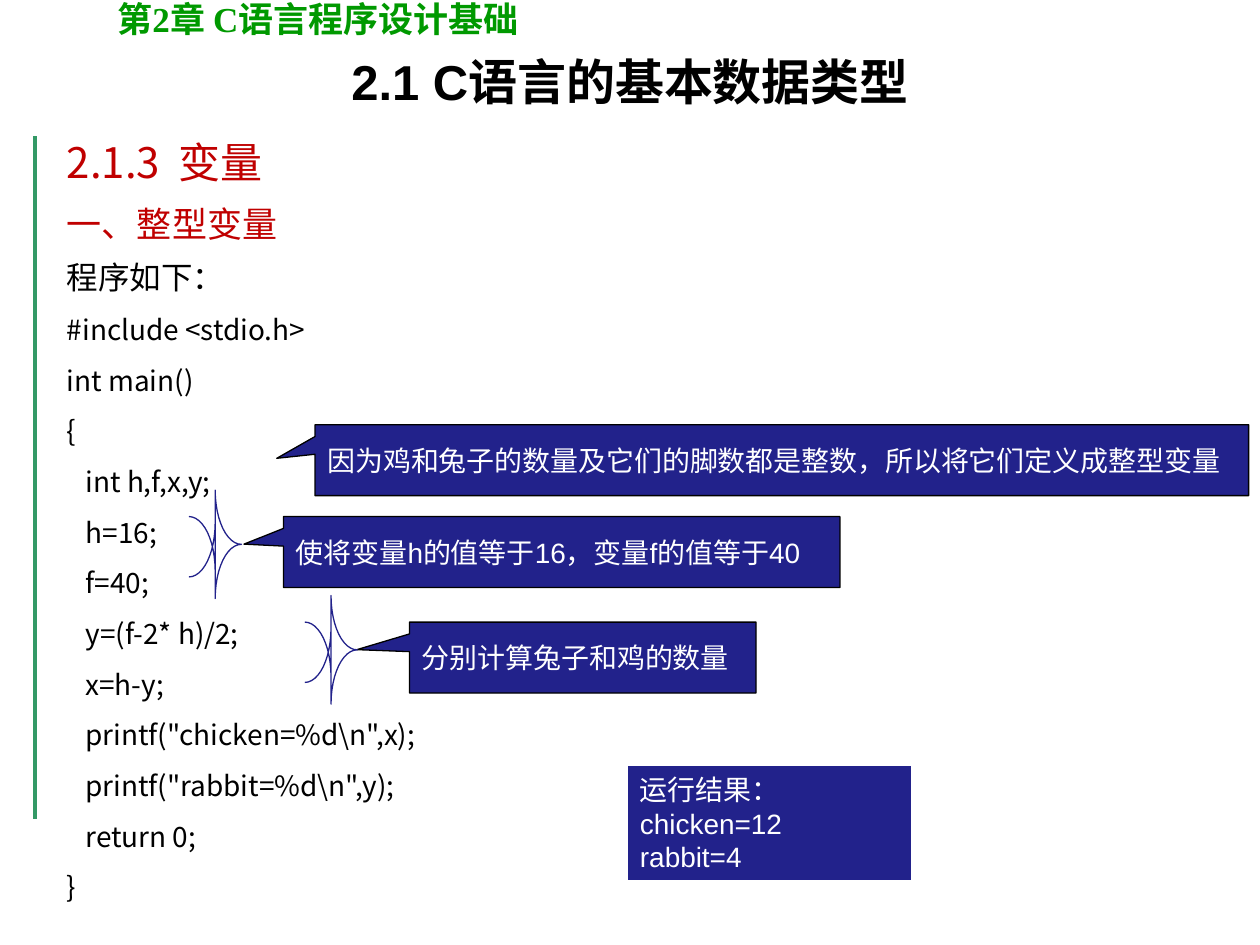
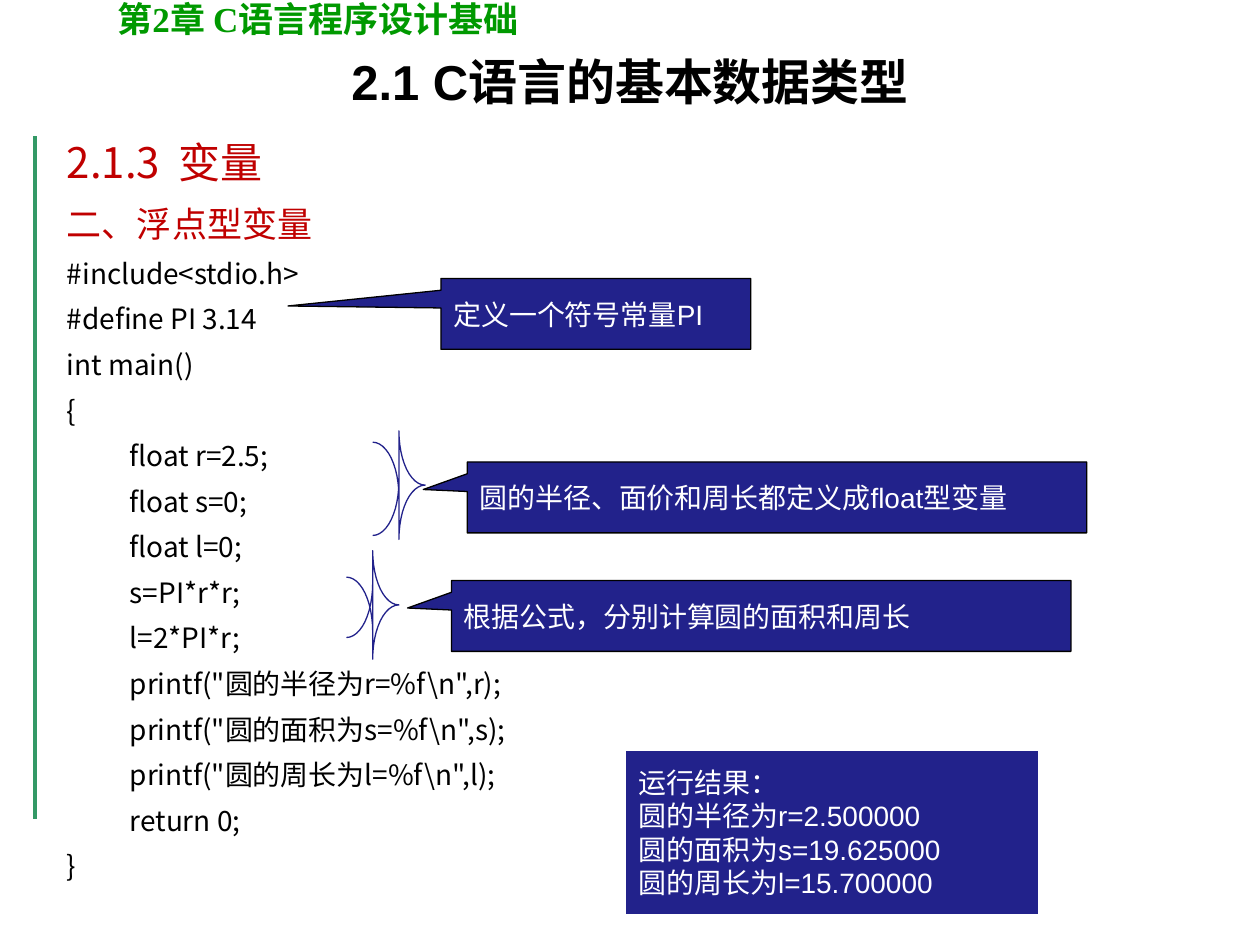
from dataclasses import dataclass
from math import cos, radians, sin

from lxml.etree import SubElement
from pptx import Presentation
from pptx.dml.color import RGBColor
from pptx.enum.shapes import MSO_CONNECTOR, MSO_SHAPE
from pptx.enum.text import MSO_ANCHOR, MSO_AUTO_SIZE, PP_ALIGN
from pptx.oxml.ns import qn
from pptx.util import Pt

BLACK = "000000"
WHITE = "FFFFFF"
NAVY = "22228B"
RED = "C00000"
CHAPTER_GREEN = "009900"
RULE_GREEN = "339966"
CJK_FONT = "Noto Sans CJK SC"
CODE_SIZE = 16
TEXT_LEFT, TEXT_WIDTH = 31, 658
TITLE_TOP, BODY_TOP = 26, 70.3
CALLOUT_HEIGHT = 40.5
BRACE_WIDTH, BRACE_RADIUS = 30, 31


@dataclass(frozen=True)
class TextLine:
    text: str
    size: float = CODE_SIZE
    color: str = BLACK
    spacing: float = 1.15


@dataclass(frozen=True)
class Callout:
    text: str
    left: float
    top: float
    width: float
    tip_x: float
    tip_y: float = -0.111


@dataclass(frozen=True)
class Brace:
    left: float
    top: float
    height: float = 34.5


@dataclass(frozen=True)
class ResultBox:
    lines: tuple[str, ...]
    left: float
    top: float
    width: float
    height: float


@dataclass(frozen=True)
class Lesson:
    lines: list[TextLine]
    body_height: float
    callouts: list[Callout]
    braces: list[Brace]
    result: ResultBox


def rgb(color: str) -> RGBColor:
    return RGBColor.from_string(color)


def format_runs(paragraph, size: float, color: str, font_name: str, bold: bool = False) -> None:
    for run in paragraph.runs:
        run.font.size = Pt(size)
        run.font.bold = bold
        run.font.name = font_name
        run.font.color.rgb = rgb(color)
        east_asian = SubElement(run.font._element, qn("a:ea"))
        east_asian.set("typeface", CJK_FONT)


def prepare_frame(text_frame, anchor) -> None:
    text_frame.word_wrap = True
    text_frame.auto_size = MSO_AUTO_SIZE.NONE
    text_frame.vertical_anchor = anchor
    text_frame.margin_left = text_frame.margin_right = Pt(7.2)
    text_frame.margin_top = text_frame.margin_bottom = Pt(3.6)


def place(shape, left: float, top: float, width: float, height: float) -> None:
    shape.left, shape.top = Pt(left), Pt(top)
    shape.width, shape.height = Pt(width), Pt(height)


def add_chapter_frame(slide) -> None:
    rule = slide.shapes.add_connector(MSO_CONNECTOR.STRAIGHT, Pt(20), Pt(78), Pt(20), Pt(468))
    rule.line.color.rgb = rgb(RULE_GREEN)
    rule.line.width = Pt(2.25)
    SubElement(rule._element.spPr, qn("a:effectLst"))

    chapter = slide.shapes.add_textbox(Pt(60), Pt(-5), Pt(414), Pt(31.5))
    prepare_frame(chapter.text_frame, MSO_ANCHOR.TOP)
    chapter.text_frame.text = "第2章 C语言程序设计基础"
    format_runs(chapter.text_frame.paragraphs[0], 20, CHAPTER_GREEN, "Times New Roman", True)


def add_title(slide) -> None:
    title = slide.shapes.title
    place(title, TEXT_LEFT, TITLE_TOP, TEXT_WIDTH, 42)
    prepare_frame(title.text_frame, MSO_ANCHOR.TOP)
    title.text_frame.text = "2.1 C语言的基本数据类型"
    paragraph = title.text_frame.paragraphs[0]
    paragraph.alignment = PP_ALIGN.CENTER
    format_runs(paragraph, 28, BLACK, "Arial", True)


def remove_bullet_and_set_tab(paragraph) -> None:
    properties = paragraph._p.get_or_add_pPr()
    properties.set("marL", "0")
    properties.set("indent", "0")
    SubElement(properties, qn("a:buNone"))
    tabs = SubElement(properties, qn("a:tabLst"))
    tab = SubElement(tabs, qn("a:tab"))
    tab.set("pos", str(Pt(72)))
    tab.set("algn", "l")


def add_body(slide, lines: list[TextLine], height: float) -> None:
    body = slide.placeholders[1]
    place(body, TEXT_LEFT, BODY_TOP, TEXT_WIDTH, height)
    prepare_frame(body.text_frame, MSO_ANCHOR.TOP)
    body.text_frame.text = "\n".join(line.text for line in lines)
    for index, (paragraph, line) in enumerate(zip(body.text_frame.paragraphs, lines)):
        remove_bullet_and_set_tab(paragraph)
        paragraph.alignment = PP_ALIGN.LEFT
        paragraph.line_spacing = line.spacing
        paragraph.space_before = Pt(line.size / 4 if index else 0)
        format_runs(paragraph, line.size, line.color, CJK_FONT)


def add_navy_box(slide, kind, text: str, left: float, top: float, width: float, height: float):
    box = slide.shapes.add_shape(kind, Pt(left), Pt(top), Pt(width), Pt(height))
    box.shadow.inherit = False
    box.fill.solid()
    box.fill.fore_color.rgb = rgb(NAVY)
    box.line.fill.background()
    prepare_frame(box.text_frame, MSO_ANCHOR.MIDDLE)
    box.text_frame.text = text
    for paragraph in box.text_frame.paragraphs:
        paragraph.alignment = PP_ALIGN.LEFT
        format_runs(paragraph, CODE_SIZE, WHITE, "Arial")
    return box


def add_callout(slide, callout: Callout) -> None:
    box = add_navy_box(slide, MSO_SHAPE.RECTANGULAR_CALLOUT, callout.text,
                       callout.left, callout.top, callout.width, CALLOUT_HEIGHT)
    box.adjustments[0] = callout.tip_x
    box.adjustments[1] = callout.tip_y
    box.line.color.rgb = rgb(BLACK)
    box.line.width = Pt(0.75)


def quarter_arc(center_x: float, center_y: float, start: int, end: int) -> list[tuple[int, int]]:
    steps = 12
    angles = [radians(start + (end - start) * step / steps) for step in range(steps + 1)]
    return [(Pt(center_x + BRACE_WIDTH / 2 * cos(angle)), Pt(center_y + BRACE_RADIUS * sin(angle)))
            for angle in angles]


def add_brace(slide, brace: Brace) -> None:
    right = brace.left + BRACE_WIDTH
    middle = brace.top + 0.46 * brace.height
    bottom = brace.top + brace.height
    points = (quarter_arc(brace.left, brace.top + BRACE_RADIUS, -90, 0)
              + quarter_arc(right, middle - BRACE_RADIUS, 180, 90)
              + quarter_arc(right, middle + BRACE_RADIUS, -90, -180)
              + quarter_arc(brace.left, bottom - BRACE_RADIUS, 0, 90))
    builder = slide.shapes.build_freeform(*points[0])
    builder.add_line_segments(points[1:], close=False)
    shape = builder.convert_to_shape()
    shape.shadow.inherit = False
    shape.fill.background()
    shape.line.color.rgb = rgb(NAVY)
    shape.line.width = Pt(0.75)


def add_lesson(presentation, lesson: Lesson) -> None:
    slide = presentation.slides.add_slide(presentation.slide_layouts[1])
    add_chapter_frame(slide)
    add_title(slide)
    add_body(slide, lesson.lines, lesson.body_height)
    for callout in lesson.callouts:
        add_callout(slide, callout)
    for brace in lesson.braces:
        add_brace(slide, brace)
    result = lesson.result
    add_navy_box(slide, MSO_SHAPE.FLOWCHART_PROCESS, "\n".join(result.lines),
                 result.left, result.top, result.width, result.height)


def headings(subsection: str) -> list[TextLine]:
    return [TextLine("2.1.3  变量", 24, RED), TextLine(subsection, 20, RED)]


def code_lines(code: str, spacing: float) -> list[TextLine]:
    return [TextLine(text, spacing=spacing) for text in code.strip().split("\n")]


INTEGER_CODE = r"""
#include <stdio.h>
int main()
{
   int h,f,x,y;
   h=16;
   f=40;
   y=(f-2* h)/2;
   x=h-y;
   printf("chicken=%d\n",x);
   printf("rabbit=%d\n",y);
   return 0;
}
"""

FLOAT_CODE = r"""
#include<stdio.h>
#define PI 3.14
int main()
{
	float r=2.5;
	float s=0;
	float l=0;
	s=PI*r*r;
	l=2*PI*r;
	printf("圆的半径为r=%f\n",r);
	printf("圆的面积为s=%f\n",s);
	printf("圆的周长为l=%f\n",l);
	return 0;
}
"""

LESSONS = [
    Lesson(
        headings("一、整型变量") + [TextLine("程序如下：", 18)] + code_lines(INTEGER_CODE, 1.3),
        471,
        [
            Callout("因为鸡和兔子的数量及它们的脚数都是整数，所以将它们定义成整型变量",
                    180, 242.7, 533.5, -0.541, -0.026),
            Callout("使将变量h的值等于16，变量f的值等于40", 162, 295.2, 318, -0.571),
            Callout("分别计算兔子和鸡的数量", 234, 355.5, 198, -0.652),
        ],
        [Brace(108, 295.2), Brace(174.2, 355.5)],
        ResultBox(("运行结果：", "chicken=12", "rabbit=4"), 358.6, 438, 162, 64.8),
    ),
    Lesson(
        headings("二、浮点型变量") + code_lines(FLOAT_CODE, 1.15),
        433,
        [
            Callout("定义一个符号常量PI", 252, 159.1, 177, -0.994),
            Callout("圆的半径、面价和周长都定义成float型变量", 267, 264, 354, -0.571),
            Callout("根据公式，分别计算圆的面积和周长", 258, 331.7, 354, -0.571),
        ],
        [Brace(213, 252.7, 53.3), Brace(198, 329.8)],
        ResultBox(("运行结果：", "圆的半径为r=2.500000", "圆的面积为s=19.625000", "圆的周长为l=15.700000"),
                  357.8, 429.1, 235.4, 92.9),
    ),
]


def main() -> None:
    presentation = Presentation()
    presentation.slide_width = Pt(720)
    presentation.slide_height = Pt(540)
    for lesson in LESSONS:
        add_lesson(presentation, lesson)
    presentation.save("out.pptx")


if __name__ == "__main__":
    main()
